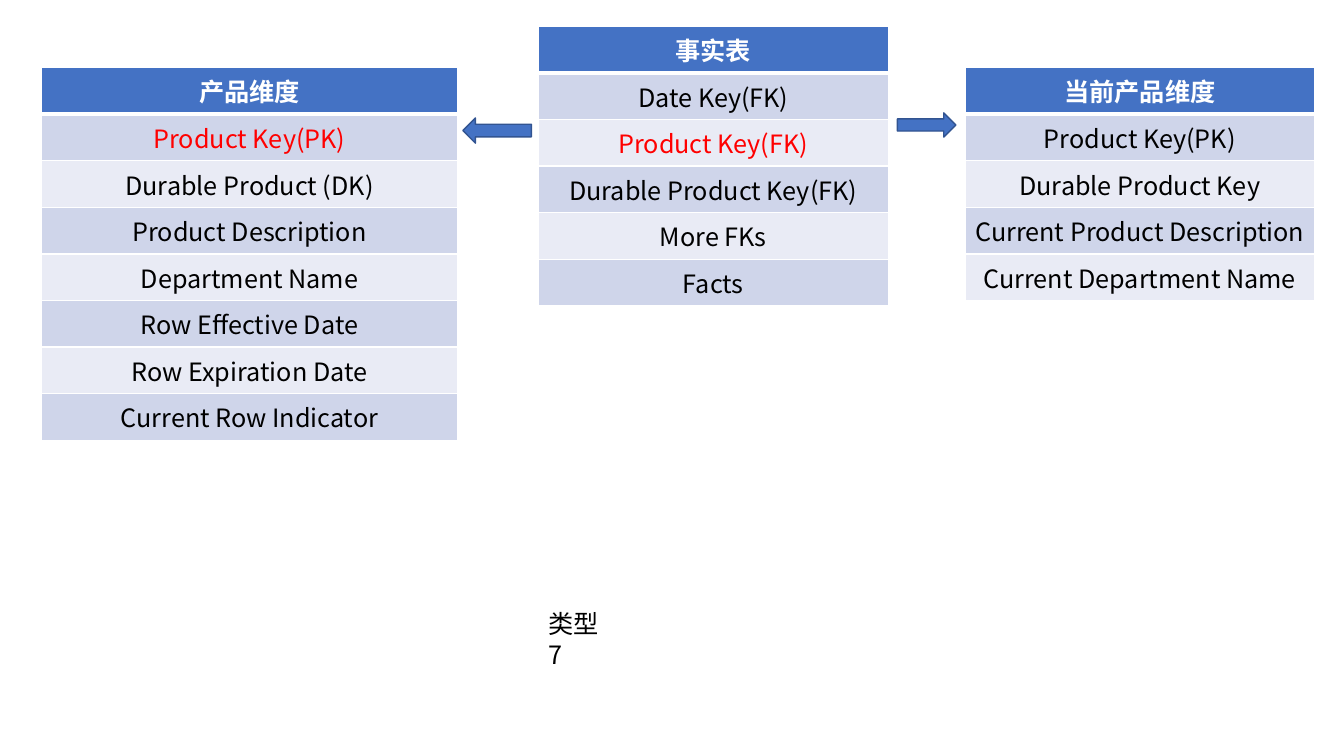
import pptx
import pptx.util
import pptx.dml.color
import pptx.enum.shapes
import pptx.enum.text
import pptx.oxml
import pptx.oxml.ns
import lxml.etree
from dataclasses import dataclass

PX = 9144  # 100 px to the inch


@dataclass(frozen=True)
class Theme:
    font: str = "Noto Sans CJK SC"
    size: int = 18
    accent: str = "4472C4"
    outline: str = "325491"
    bands: tuple = ("CFD5EA", "E9EBF5")
    white: str = "FFFFFF"
    black: str = "000000"
    key: str = "FF0000"
    border: int = 1
    header_rule: int = 3
    row: int = 41


def px(n):
    return pptx.util.Emu(n * PX)


def rgb(value):
    return pptx.dml.color.RGBColor.from_string(value)


class Deck:
    def __init__(self, theme, width, height):
        self.theme = theme
        self.prs = pptx.Presentation()
        self.prs.slide_width, self.prs.slide_height = px(width), px(height)
        self.s = self.prs.slides.add_slide(self.prs.slide_layouts[6])

    def style(self, p, color, bold=False):
        for r in p.runs:
            r.font.name = self.theme.font
            r.font.size = pptx.util.Pt(self.theme.size)
            r.font.bold = bold
            r.font.color.rgb = rgb(color)
            # East Asian typeface follows the Latin one
            lxml.etree.SubElement(r._r.get_or_add_rPr(), pptx.oxml.ns.qn("a:ea"),
                                  typeface=self.theme.font)

    def borders(self, cell, bottom):
        tcPr = cell._tc.get_or_add_tcPr()
        widths = {"L": self.theme.border, "R": self.theme.border,
                  "T": self.theme.border, "B": bottom}
        for i, (side, width) in enumerate(widths.items()):
            # Border lines come before the cell fill
            tcPr.insert(i, pptx.oxml.parse_xml(
                f'<a:ln{side} {pptx.oxml.ns.nsdecls("a")} w="{int(pptx.util.Pt(width))}">'
                f'<a:solidFill><a:srgbClr val="{self.theme.white}"/></a:solidFill>'
                f'</a:ln{side}>'))

    def table(self, x, y, width, title, fields, key=None):
        t = self.theme
        rows = [title, *fields]
        table = self.s.shapes.add_table(len(rows), 1, px(x), px(y), px(width),
                                        px(t.row * len(rows))).table
        for i, text in enumerate(rows):
            header = i == 0
            cell = table.cell(i, 0)
            cell.fill.solid()
            cell.fill.fore_color.rgb = rgb(t.accent if header else t.bands[(i - 1) % 2])
            self.borders(cell, t.header_rule if header else t.border)
            p = cell.text_frame.paragraphs[0]
            p.text = text
            p.alignment = pptx.enum.text.PP_ALIGN.CENTER
            color = t.white if header else t.key if text == key else t.black
            self.style(p, color, bold=header)

    def arrow(self, kind, x, y, width, height):
        sp = self.s.shapes.add_shape(kind, px(x), px(y), px(width), px(height))
        sp.shadow.inherit = False
        sp.fill.solid()
        sp.fill.fore_color.rgb = rgb(self.theme.accent)
        sp.line.color.rgb = rgb(self.theme.outline)
        sp.line.width = pptx.util.Pt(1)

    def label(self, x, y, width, height, text):
        tf = self.s.shapes.add_textbox(px(x), px(y), px(width), px(height)).text_frame
        tf.word_wrap = True
        tf.auto_size = pptx.enum.text.MSO_AUTO_SIZE.SHAPE_TO_FIT_TEXT
        tf.text = text
        self.style(tf.paragraphs[0], self.theme.black)


def main():
    deck = Deck(Theme(), 1333, 750)

    # Dimension and fact tables
    deck.table(41, 67, 413, "产品维度", [
        "Product Key(PK)", "Durable Product (DK)", "Product Description",
        "Department Name", "Row Effective Date", "Row Expiration Date",
        "Current Row Indicator"], key="Product Key(PK)")
    deck.table(534, 26, 347, "事实表", [
        "Date Key(FK)", "Product Key(FK)", "Durable Product Key(FK)",
        "More FKs", "Facts"], key="Product Key(FK)")
    deck.table(957, 67, 347, "当前产品维度", [
        "Product Key(PK)", "Durable Product Key",
        "Current Product Description", "Current Department Name"])

    # Type label
    deck.label(534, 599, 82, 40, "类型7")

    # Arrows from the fact table to its dimensions
    shapes = pptx.enum.shapes.MSO_SHAPE
    deck.arrow(shapes.RIGHT_ARROW, 890, 112, 58, 24)
    deck.arrow(shapes.LEFT_ARROW, 459, 117, 68, 25)

    deck.prs.save("out.pptx")


if __name__ == "__main__":
    main()
